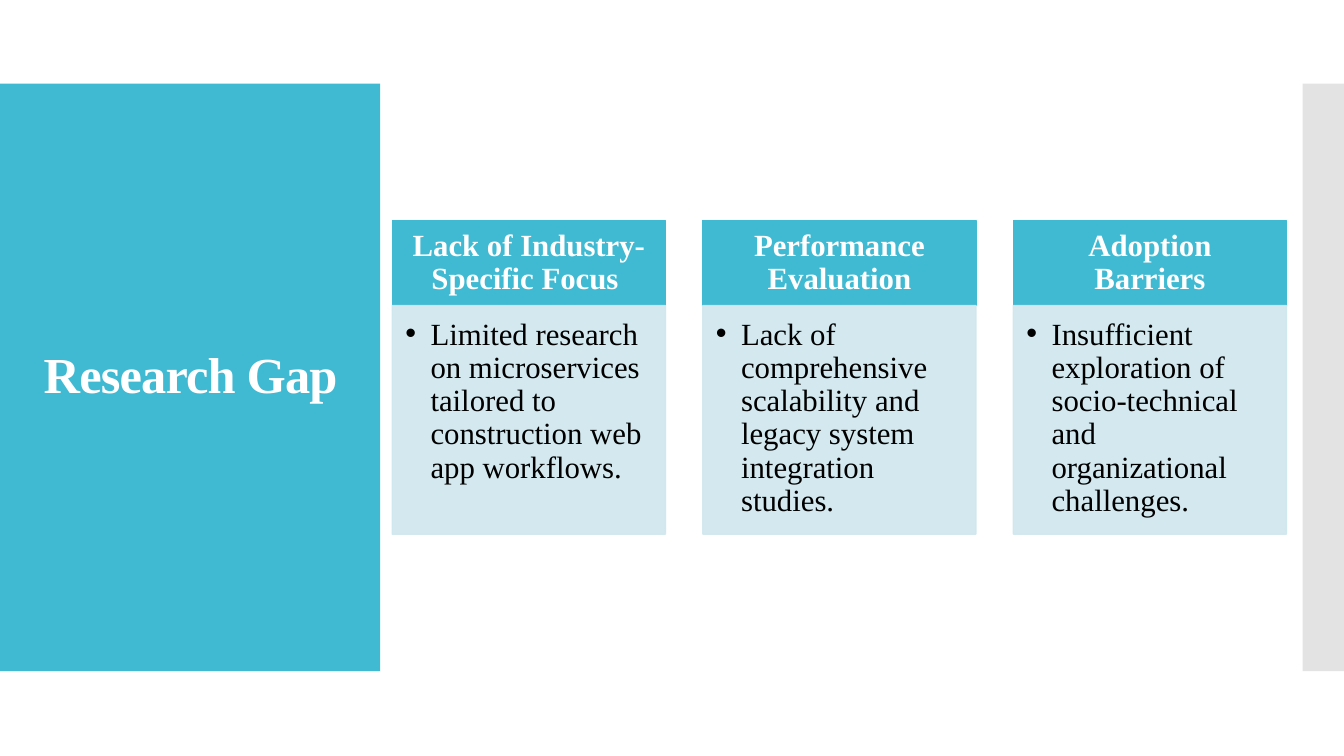
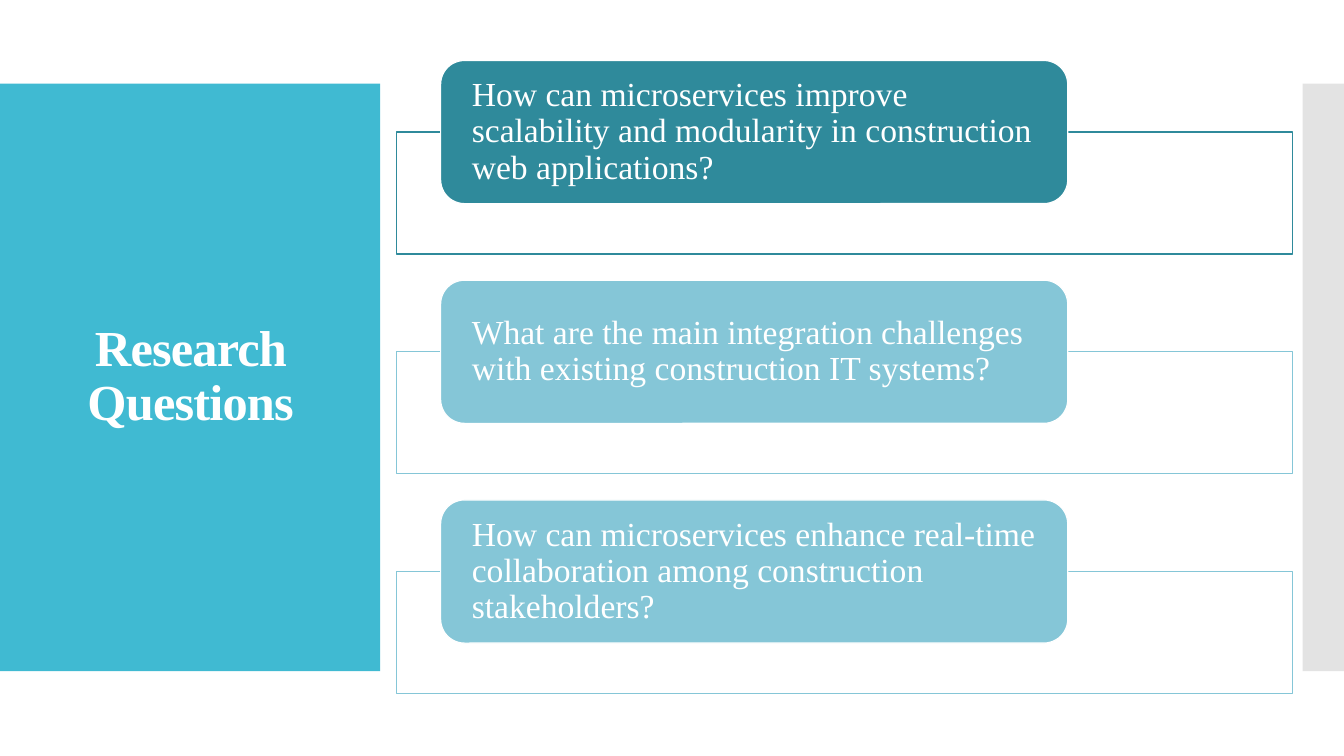
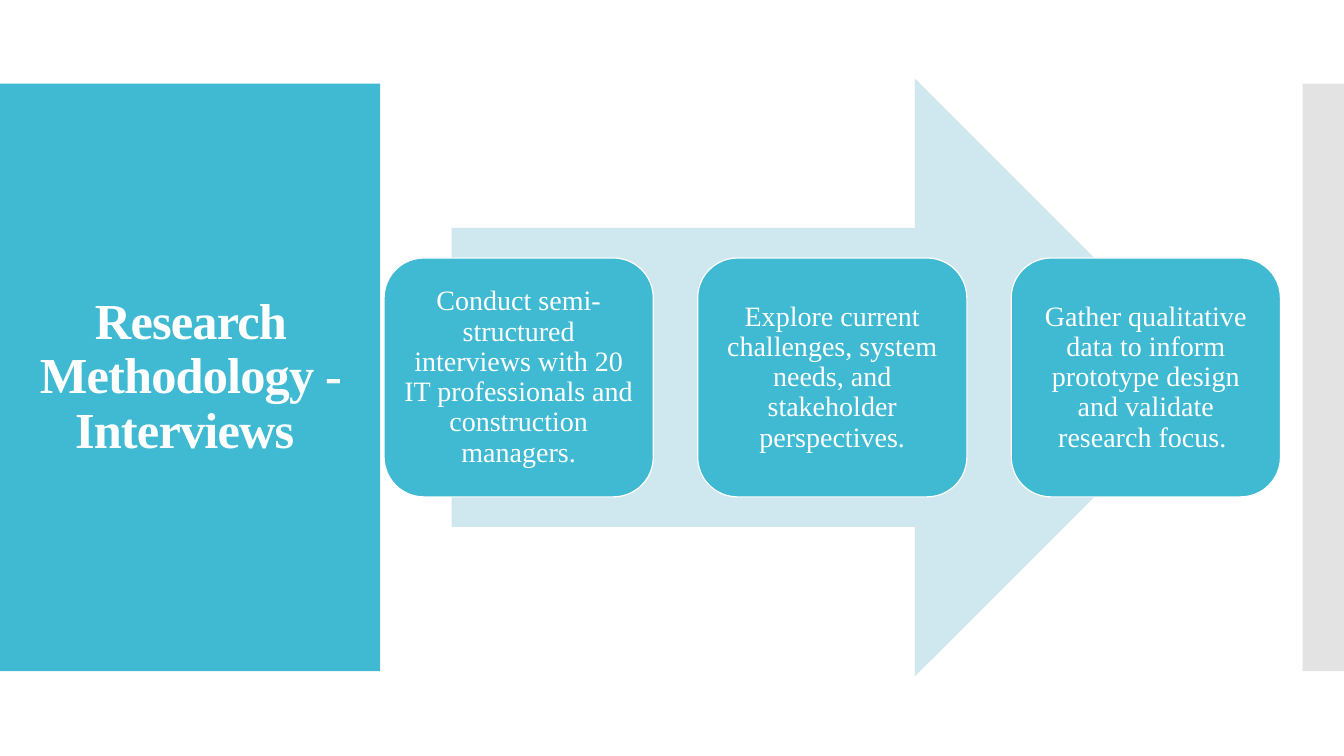
from dataclasses import dataclass
from typing import NamedTuple, Optional

from lxml.etree import SubElement
from pptx import Presentation
from pptx.dml.color import RGBColor
from pptx.enum.shapes import MSO_SHAPE as Shape
from pptx.enum.text import MSO_ANCHOR as Anchor, PP_ALIGN as Align
from pptx.oxml.ns import qn
from pptx.util import Emu, Pt

PX = 9144
FONT = "Times New Roman"
TEAL = RGBColor(0x40, 0xBA, 0xD2)
DARK_TEAL = RGBColor(0x2F, 0x8A, 0x9B)
SOFT_TEAL = RGBColor(0x85, 0xC6, 0xD7)
PALE = RGBColor(0xCF, 0xE7, 0xEE)
GRAY = RGBColor(0xC8, 0xC8, 0xC8)
WHITE = RGBColor(0xFF, 0xFF, 0xFF)
BLACK = RGBColor(0x00, 0x00, 0x00)


class Box(NamedTuple):
    x: int
    y: int
    w: int
    h: int

    def shift(self, dx: int = 0, dy: int = 0) -> "Box":
        return self._replace(x=self.x + dx, y=self.y + dy)

    def emu(self) -> list[Emu]:
        return [Emu(v * PX) for v in self]


@dataclass(frozen=True)
class TextStyle:
    size: int
    color: RGBColor = WHITE
    bold: bool = False
    align: Align = Align.CENTER
    anchor: Anchor = Anchor.MIDDLE
    insets: tuple[int, int, int, int] = (10, 5, 10, 5)
    spacing: int = 0
    bullet: bool = False


class GapCard(NamedTuple):
    heading: str
    detail: str


class Question(NamedTuple):
    text: str
    color: RGBColor


TITLE = TextStyle(36, bold=True, spacing=-60)
CARD_HEAD = TextStyle(22, bold=True, insets=(17, 10, 17, 10))
CARD_BODY = TextStyle(22, BLACK, align=Align.LEFT, anchor=Anchor.TOP,
                      insets=(13, 13, 17, 19), bullet=True)
QUESTION = TextStyle(24, align=Align.LEFT, insets=(24, 0, 24, 0))
STEP = TextStyle(20, insets=(8, 8, 8, 8))

GAPS = [
    GapCard("Lack of Industry-Specific Focus ",
            "Limited research on microservices tailored to construction web app workflows."),
    GapCard("Performance Evaluation",
            "Lack of comprehensive scalability and legacy system integration studies."),
    GapCard("Adoption Barriers",
            "Insufficient exploration of socio-technical and organizational challenges."),
]
QUESTIONS = [
    Question("How can microservices improve scalability and modularity in "
             "construction web applications?", DARK_TEAL),
    Question("What are the main integration challenges with existing "
             "construction IT systems?", SOFT_TEAL),
    Question("How can microservices enhance real-time collaboration among "
             "construction stakeholders?", SOFT_TEAL),
]
STEPS = [
    "Conduct semi-structured interviews with 20 IT professionals and construction managers.",
    "Explore current challenges, system needs, and stakeholder perspectives.",
    "Gather qualitative data to inform prototype design and validate research focus. ",
]


def write(sp, text: str, style: TextStyle) -> None:
    tf = sp.text_frame
    tf.word_wrap = True
    tf.vertical_anchor = style.anchor
    tf.margin_left, tf.margin_top, tf.margin_right, tf.margin_bottom = (
        Emu(v * PX) for v in style.insets)
    tf.text = text
    p = tf.paragraphs[0]
    p.alignment = style.align
    p.line_spacing = 0.9
    r = p.runs[0]
    r.font.name = FONT
    r.font.size = Pt(style.size)
    r.font.bold = style.bold
    r.font.color.rgb = style.color
    if style.spacing:
        r._r.get_or_add_rPr().set("spc", str(style.spacing))
    if style.bullet:
        props = p._p.get_or_add_pPr()
        props.set("marL", str(25 * PX))
        props.set("indent", str(-25 * PX))
        SubElement(props, qn("a:buFont"), typeface="Arial")
        SubElement(props, qn("a:buChar"), char="•")


def add_block(s, kind: Shape, box: Box, fill: RGBColor,
              line: Optional[RGBColor] = None, opacity: int = 100):
    sp = s.shapes.add_shape(kind, *box.emu())
    sp.shadow.inherit = False
    sp.fill.solid()
    sp.fill.fore_color.rgb = fill
    if line is None:
        sp.line.fill.background()
    else:
        sp.line.color.rgb = line
        sp.line.width = Pt(0.85)
    if opacity < 100:
        for color in sp.element.spPr.iter(qn("a:srgbClr")):
            SubElement(color, qn("a:alpha"), val=str(opacity * 1000))
    return sp


def add_base(prs, title: str):
    s = prs.slides.add_slide(prs.slide_layouts[6])
    add_block(s, Shape.RECTANGLE, Box(0, 83, 377, 583), TEAL)
    add_block(s, Shape.RECTANGLE, Box(1292, 83, 41, 583), GRAY, opacity=50)
    write(s.shapes.add_textbox(*Box(28, 123, 322, 503).emu()), title, TITLE)
    return s


def add_gaps(prs) -> None:
    s = add_base(prs, "Research Gap")
    for i, card in enumerate(GAPS):
        head = Box(389, 219, 271, 84).shift(dx=i * 308)
        body = head.shift(dy=head.h)._replace(h=227)
        write(add_block(s, Shape.RECTANGLE, head, TEAL, TEAL), card.heading, CARD_HEAD)
        write(add_block(s, Shape.RECTANGLE, body, PALE, PALE, 90), card.detail, CARD_BODY)


def add_questions(prs) -> None:
    s = add_base(prs, "Research Questions")
    for i, question in enumerate(QUESTIONS):
        dy = i * 218
        add_block(s, Shape.RECTANGLE, Box(393, 131, 889, 121).shift(dy=dy),
                  WHITE, question.color)
        label = add_block(s, Shape.ROUNDED_RECTANGLE, Box(437, 60, 622, 142).shift(dy=dy),
                          question.color, WHITE)
        write(label, question.text, QUESTION)


def add_interviews(prs) -> None:
    s = add_base(prs, "Research Methodology - Interviews ")
    add_block(s, Shape.RIGHT_ARROW, Box(448, 78, 756, 593), PALE)
    for i, text in enumerate(STEPS):
        step = add_block(s, Shape.ROUNDED_RECTANGLE,
                         Box(381, 256, 267, 237).shift(dx=i * 311), TEAL, WHITE)
        write(step, text, STEP)


def main() -> None:
    prs = Presentation()
    prs.slide_width, prs.slide_height = Emu(1333 * PX), Emu(750 * PX)
    add_gaps(prs)
    add_questions(prs)
    add_interviews(prs)
    prs.save("out.pptx")


if __name__ == "__main__":
    main()
